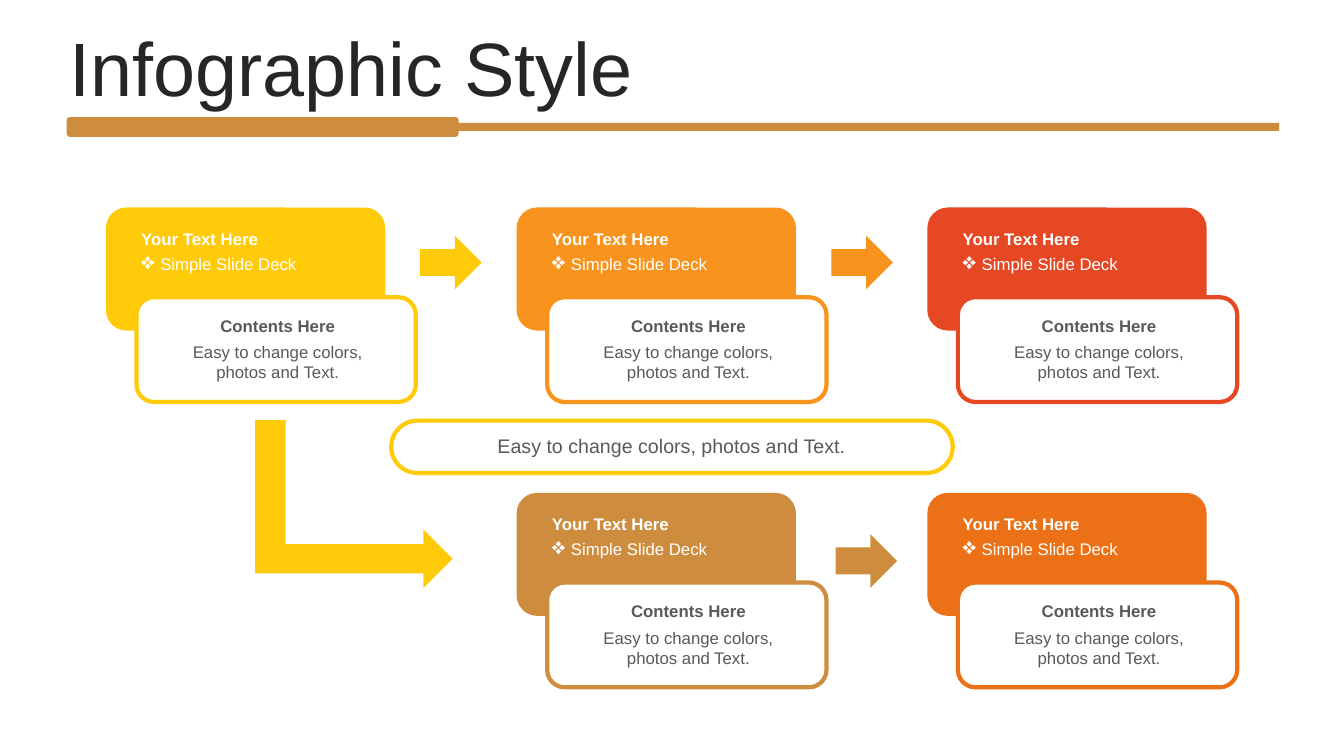
import pptx
import pptx.util
import pptx.dml.color
import pptx.enum.shapes
import pptx.enum.text
from lxml import etree

Cm = pptx.util.Cm
Pt = pptx.util.Pt
RGBColor = pptx.dml.color.RGBColor
MSO_SHAPE = pptx.enum.shapes.MSO_SHAPE
PP_ALIGN = pptx.enum.text.PP_ALIGN

YELLOW = RGBColor(0xFF, 0xCA, 0x08)
ORANGE = RGBColor(0xF8, 0x93, 0x1D)
RED = RGBColor(0xE6, 0x48, 0x23)
BRONZE = RGBColor(0xCE, 0x8D, 0x3E)
PUMPKIN = RGBColor(0xEC, 0x70, 0x16)
WHITE = RGBColor(0xFF, 0xFF, 0xFF)
GREY = RGBColor(0x59, 0x59, 0x59)
BLACK = RGBColor(0x26, 0x26, 0x26)

FONT = "Arial"
TITLE = "Infographic Style"
HEADING = "Your Text Here"
BULLET = "Simple Slide Deck"
PANEL_HEADING = "Contents Here"
MESSAGE = "Easy to change colors, photos and Text."

CARDS = [(0, 0, YELLOW), (1, 0, ORANGE), (2, 0, RED), (1, 1, BRONZE), (2, 1, PUMPKIN)]
CARD_LEFT, CARD_TOP = 2.67, 5.23
COLUMN_STEP, ROW_STEP = 10.35, 7.19

CARD_TEXTS = [
    (BULLET, (0.64, 1.04, 5.94, 0.76), WHITE, False, PP_ALIGN.LEFT, True),
    (HEADING, (0.64, 0.4, 5.94, 0.76), WHITE, True, PP_ALIGN.LEFT, False),
    (MESSAGE, (1.46, 3.35, 5.74, 1.09), GREY, False, PP_ALIGN.CENTER, False),
    (PANEL_HEADING, (1.46, 2.62, 5.74, 0.71), GREY, True, PP_ALIGN.CENTER, False),
]

ARROWS = [(10.59, 5.94, YELLOW), (20.95, 5.94, ORANGE), (21.06, 13.46, BRONZE)]


def add_box(shapes, kind, box, fill, outline=None):
    shape = shapes.add_shape(kind, *[Cm(length) for length in box])
    shape.shadow.inherit = False
    shape.fill.solid()
    shape.fill.fore_color.rgb = fill
    if outline is None:
        shape.line.fill.background()
    else:
        shape.line.color.rgb = outline
        shape.line.width = Pt(3)
    return shape


def write(shape, text, size, color, bold=False, align=PP_ALIGN.LEFT, bulleted=False):
    frame = shape.text_frame
    frame.word_wrap = True
    frame.auto_size = pptx.enum.text.MSO_AUTO_SIZE.NONE
    frame.vertical_anchor = pptx.enum.text.MSO_ANCHOR.MIDDLE
    paragraph = frame.paragraphs[0]
    paragraph.alignment = align
    if bulleted:
        properties = paragraph._p.get_or_add_pPr()
        properties.set("marL", str(Cm(0.48)))
        properties.set("indent", str(-Cm(0.48)))
        bullet_size = etree.SubElement(properties, pptx.oxml.ns.qn("a:buSzPct"))
        bullet_size.set("val", "140000")
        bullet = etree.SubElement(properties, pptx.oxml.ns.qn("a:buChar"))
        bullet.set("char", "❖")
    run = paragraph.add_run()
    run.text = text
    run.font.name = FONT
    run.font.size = Pt(size)
    run.font.bold = bold
    run.font.color.rgb = color
    return paragraph


def add_text(shapes, box, *style):
    return write(shapes.add_textbox(*[Cm(length) for length in box]), *style)


def add_card(slide, column, row, color):
    left = CARD_LEFT + column * COLUMN_STEP
    top = CARD_TOP + row * ROW_STEP
    shapes = slide.shapes.add_group_shape().shapes
    add_box(shapes, MSO_SHAPE.ROUNDED_RECTANGLE, (left, top, 7.04, 3.1), color)
    add_box(shapes, MSO_SHAPE.ROUNDED_RECTANGLE,
            (left + 0.77, top + 2.26, 7.04, 2.64), WHITE, color)
    for text, (x, y, width, height), text_color, bold, align, bulleted in CARD_TEXTS:
        add_text(shapes, (left + x, top + y, width, height),
                 text, 12, text_color, bold, align, bulleted)


def main():
    presentation = pptx.Presentation()
    presentation.slide_width = Cm(33.87)
    presentation.slide_height = Cm(19.05)
    slide = presentation.slides.add_slide(presentation.slide_layouts[5])
    shapes = slide.shapes

    title = shapes.title
    title.left, title.top, title.width, title.height = Cm(1.5), Cm(0.81), Cm(30.91), Cm(2.01)
    write(title, TITLE, 54, BLACK).line_spacing = 0.9

    add_box(shapes, MSO_SHAPE.RECTANGLE, (7.34, 3.1, 24.9, 0.2), BRONZE)
    add_box(shapes, MSO_SHAPE.ROUNDED_RECTANGLE, (1.68, 2.95, 9.88, 0.5), BRONZE)

    for column, row, color in CARDS:
        add_card(slide, column, row, color)

    for left, top, color in ARROWS:
        add_box(shapes, MSO_SHAPE.RIGHT_ARROW, (left, top, 1.55, 1.35), color)

    elbow = shapes.add_group_shape().shapes
    add_box(elbow, MSO_SHAPE.RIGHT_ARROW, (6.43, 13.34, 4.98, 1.48), YELLOW)
    add_box(elbow, MSO_SHAPE.RECTANGLE, (6.43, 10.59, 0.77, 3.48), YELLOW)

    banner = add_box(shapes, MSO_SHAPE.ROUNDED_RECTANGLE, (9.86, 10.6, 14.15, 1.32), WHITE, YELLOW)
    banner.adjustments[0] = 0.5
    add_text(shapes, (12.19, 10.87, 9.47, 0.74), MESSAGE, 14, GREY, False, PP_ALIGN.CENTER)

    presentation.save("out.pptx")


if __name__ == "__main__":
    main()
